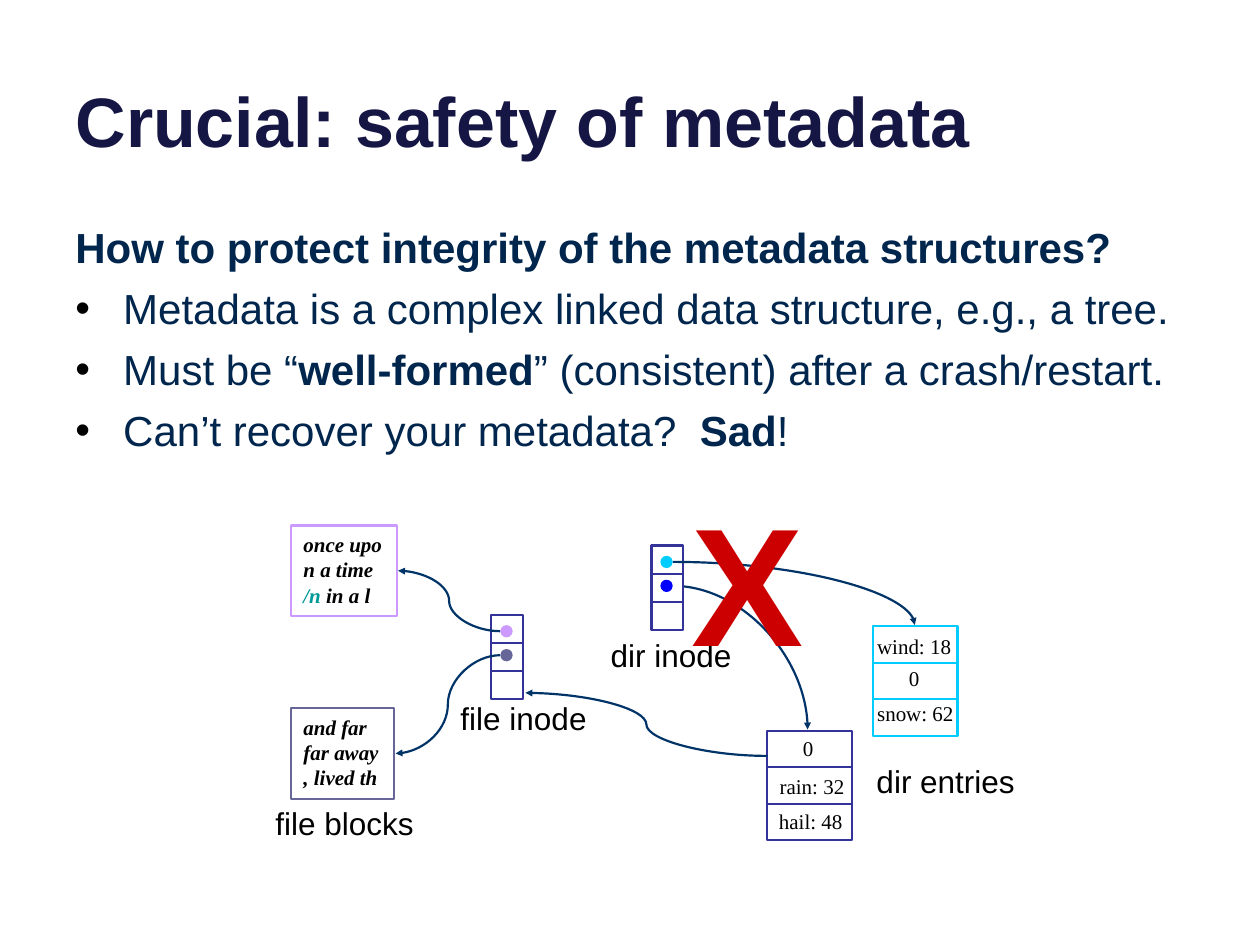
"""Build the slide on the safety of file system metadata."""
import pptx
import pptx.dml.color
import pptx.enum.shapes
import pptx.enum.text
import pptx.oxml
import pptx.oxml.ns
import pptx.util

RGB = pptx.dml.color.RGBColor
SHAPE = pptx.enum.shapes.MSO_SHAPE
CONNECTOR = pptx.enum.shapes.MSO_CONNECTOR
ALIGN = pptx.enum.text.PP_ALIGN
ANCHOR = pptx.enum.text.MSO_ANCHOR
Inches, Pt = pptx.util.Inches, pptx.util.Pt

BLACK, WHITE, RED = RGB(0, 0, 0), RGB(255, 255, 255), RGB(0xCC, 0, 0)
TITLE_INK, BODY_INK = RGB(0x16, 0x16, 0x45), RGB(0x00, 0x26, 0x4D)
INDIGO, CYAN, BLUE = RGB(0x33, 0x33, 0x99), RGB(0x00, 0xCC, 0xFF), RGB(0, 0, 255)
LILAC, SLATE = RGB(0xCC, 0x99, 0xFF), RGB(0x66, 0x66, 0x99)
TEAL, NAVY = RGB(0x00, 0x99, 0x99), RGB(0x00, 0x33, 0x67)
SANS, SERIF = "Arial", "Times New Roman"
STROKE = Pt(1.25)
ROWS = 3
INODE, ENTRIES = (0.25, 0.67), (0.67, 0.87)
DOT, DOT_LEFT, DOT_TOPS = 0.08, 0.08, (0.09, 0.28)
CELL_MARGIN, CELL_HEIGHT = 0.15, 0.3

TITLE = "Crucial: safety of metadata"
HEADING = "How to protect integrity of the metadata structures?"
BULLETS = [
    [("Metadata is a complex linked data structure, e.g., a tree.", False)],
    [("Must be “", False), ("well-formed", True),
     ("” (consistent) after a crash/restart.", False)],
    [("Can’t recover your metadata?  ", False), ("Sad", True), ("!", False)],
]
# left, top, size, line colour, dot colours, (cell text, shift right, shift down)
STACKS = [
    (6.09, 5.8, ENTRIES, INDIGO, (),
     [("0", -0.01, -0.01), ("rain: 32", 0.02, 0), ("hail: 48", 0.01, -0.01)]),
    (3.9, 4.88, INODE, INDIGO, (LILAC, SLATE), []),
    (5.17, 4.33, INODE, INDIGO, (CYAN, BLUE), []),
    (6.93, 4.97, ENTRIES, CYAN, (),
     [("wind: 18", -0.01, 0.01), ("0", -0.01, -0.03), ("snow: 62", 0, -0.04)]),
]
BLOCKS = [
    (2.31, 4.17, 0.84, LILAC,
     [[("once upo", BLACK)], [("n a time", BLACK)], [("/n", TEAL), (" in a l", BLACK)]]),
    (2.31, 5.62, 0.82, SLATE,
     [[("and far", BLACK)], [("far away", BLACK)], [(", lived th", BLACK)]]),
]
LABELS = [("file inode", 3.48, 5.5), ("dir inode", 4.65, 5),
          ("dir entries", 6.83, 6), ("file blocks", 2.06, 6.33)]
ARROW_BEHIND = ("curvedConnector2", (5.34, 4.65), (6.41, 5.79))
ARROWS = [
    ("curvedConnector3", (3.97, 5.01), (3.16, 4.53)),
    ("curvedConnector3", (3.97, 5.2), (3.14, 5.98)),
    ("curvedConnector3", (6.09, 6), (4.17, 5.5)),
    ("curvedConnector2", (5.34, 4.46), (7.26, 4.96)),
]


def style(font, size, name, color, bold=False, italic=False):
    font.size, font.name, font.bold, font.italic = Pt(size), name, bold, italic
    font.color.rgb = color


def add_element(parent, tag, **attributes):
    child = pptx.oxml.parse_xml(f"<a:{tag} {pptx.oxml.ns.nsdecls('a')}/>")
    for key, value in attributes.items():
        child.set(key, value)
    parent.append(child)
    return child


def add_box(shapes, left, top, width, height, wrap=False):
    box = shapes.add_textbox(*map(Inches, (left, top, width, height)))
    box.text_frame.word_wrap = wrap
    return box


def add_text(shapes, text, area, size, name, color=BLACK, bold=False, wrap=False, align=ALIGN.CENTER):
    para = add_box(shapes, *area, wrap).text_frame.paragraphs[0]
    para.text, para.alignment = text, align
    style(para.runs[0].font, size, name, color, bold)


def add_line(shapes, kind, start, end, color):
    line = shapes.add_connector(kind, *map(Inches, (*start, *end)))
    line.line.color.rgb, line.line.width = color, STROKE
    add_element(line._element.spPr, "effectLst")
    return line


def add_arrow(shapes, preset, start, end):
    arrow = add_line(shapes, CONNECTOR.CURVE, start, end, NAVY)
    arrow._element.spPr.prstGeom.set("prst", preset)
    add_element(arrow.line._get_or_add_ln(), "tailEnd", type="triangle", w="sm", len="sm")


def add_solid(shapes, kind, area, fill, outline):
    solid = shapes.add_shape(kind, *map(Inches, area))
    solid.shadow.inherit = False
    solid.fill.solid()
    solid.fill.fore_color.rgb = fill
    solid.line.color.rgb, solid.line.width = outline, STROKE


def add_stack(page, left, top, size, outline, dots, cells):
    shapes = page.shapes.add_group_shape().shapes
    width, height = size
    row_height = height / ROWS
    add_solid(shapes, SHAPE.RECTANGLE, (left, top, width, height), WHITE, outline)
    for row in range(1, ROWS):
        y = top + row * row_height
        add_line(shapes, CONNECTOR.STRAIGHT, (left, y), (left + width, y), outline)
    for color, drop in zip(dots, DOT_TOPS):
        add_solid(shapes, SHAPE.OVAL, (left + DOT_LEFT, top + drop, DOT, DOT), color, color)
    for row, (text, right, down) in enumerate(cells):
        area = (left + right - CELL_MARGIN, top + row * row_height + down,
                width + 2 * CELL_MARGIN, CELL_HEIGHT)
        add_text(shapes, text, area, 12, SERIF)


def add_block(page, left, top, width, outline, lines):
    block = add_box(page.shapes, left, top, width, 0.72)
    block.line.color.rgb, block.line.width = outline, STROKE
    frame = block.text_frame
    for index, spans in enumerate(lines):
        para = frame.add_paragraph() if index else frame.paragraphs[0]
        for text, color in spans:
            span = para.add_run()
            span.text = text
            style(span.font, 12, SERIF, color, True, True)


def add_body(page):
    frame = add_box(page.shapes, 0.5, 1.75, 9.33, 5.42, True).text_frame
    for index, spans in enumerate([[(HEADING, True)]] + BULLETS):
        para = frame.add_paragraph() if index else frame.paragraphs[0]
        if index:
            props = para._p.get_or_add_pPr()
            props.set("marL", str(Inches(0.38)))
            props.set("indent", str(-Inches(0.38)))
            add_element(add_element(props, "buClr"), "srgbClr", val=str(BLACK))
            add_element(props, "buFont", typeface=SANS)
            add_element(props, "buChar", char="•")
            para.space_before = Pt(9)
        para.line_spacing = 0.9
        for text, bold in spans:
            span = para.add_run()
            span.text = text
            style(span.font, 24, SANS, BODY_INK, bold)


def add_title(page):
    title = page.shapes.title
    title.left, title.top, title.width, title.height = map(Inches, (0.5, -0.37, 9, 1.7))
    frame = title.text_frame
    frame.text, frame.vertical_anchor = TITLE, ANCHOR.BOTTOM
    frame.auto_size = pptx.enum.text.MSO_AUTO_SIZE.NONE
    para = frame.paragraphs[0]
    para.alignment = ALIGN.LEFT
    style(para.runs[0].font, 40, SANS, TITLE_INK, True)


def main():
    deck = pptx.Presentation()
    deck.slide_width, deck.slide_height = Inches(10), Inches(7.5)
    page = deck.slides.add_slide(deck.slide_layouts[5])
    add_title(page)
    add_body(page)
    add_arrow(page.shapes, *ARROW_BEHIND)
    for stack in STACKS:
        add_stack(page, *stack)
    for block in BLOCKS:
        add_block(page, *block)
    for arrow in ARROWS:
        add_arrow(page.shapes, *arrow)
    for text, left, top in LABELS:
        add_text(page.shapes, text, (left, top, 1.35, 0.4), 18, SANS, wrap=True)
    add_text(page.shapes, "X", (5.39, 3.75, 1.11, 1.7), 96, SANS, RED, True, align=ALIGN.LEFT)
    deck.save("out.pptx")


if __name__ == "__main__":
    main()
